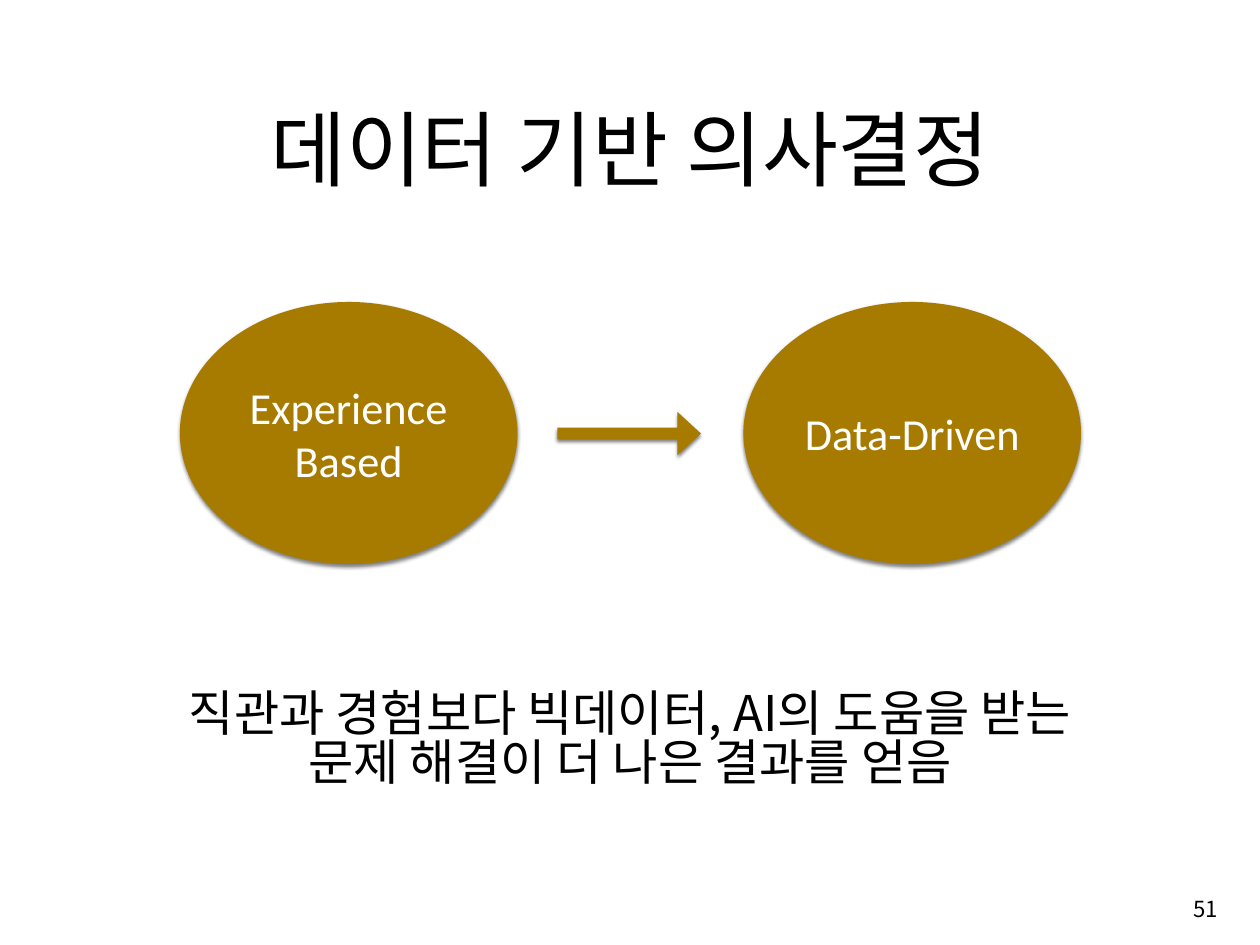
import dataclasses

import lxml.etree
import pptx
import pptx.dml.color
import pptx.enum.shapes
import pptx.enum.text
import pptx.oxml.ns
import pptx.util

Inches = pptx.util.Inches
Pt = pptx.util.Pt
SHAPE = pptx.enum.shapes.MSO_SHAPE
ALIGN = pptx.enum.text.PP_ALIGN
ANCHOR = pptx.enum.text.MSO_ANCHOR
qn = pptx.oxml.ns.qn


@dataclasses.dataclass(frozen=True)
class Theme:
    gold: str = "A77B00"
    black: str = "000000"
    white: str = "FFFFFF"
    korean: str = "Noto Sans CJK KR"
    latin: str = "Calibri"
    title: int = 67
    body: int = 40
    label: int = 36
    number: int = 18


THEME = Theme()


def rgb(value):
    return pptx.dml.color.RGBColor.from_string(value)


def place(sp, left, top, width, height):
    sp.left, sp.top = Inches(left), Inches(top)
    sp.width, sp.height = Inches(width), Inches(height)


def write(sp, text, font, size, color, anchor=ANCHOR.TOP, inset=0.06, wrap=True, spacing=None):
    """Fill a shape with centred text, one paragraph per line."""
    tf = sp.text_frame
    tf.text = text
    tf.word_wrap = wrap
    tf.auto_size = pptx.enum.text.MSO_AUTO_SIZE.NONE
    tf.vertical_anchor = anchor
    tf.margin_left = tf.margin_right = tf.margin_top = tf.margin_bottom = Inches(inset)
    for p in tf.paragraphs:
        p.alignment = ALIGN.CENTER
        p.space_before = Pt(0)
        if spacing:
            p.line_spacing = spacing
        for r in p.runs:
            r.font.name = font
            r.font.size = Pt(size)
            r.font.color.rgb = rgb(color)
            # East Asian glyphs use the same typeface
            latin = r.font._element.find(qn("a:latin"))
            ea = lxml.etree.Element(qn("a:ea"), typeface=font)
            latin.addnext(ea)


def remove_bullets(sp):
    for p in sp.text_frame.paragraphs:
        pPr = p._p.get_or_add_pPr()
        pPr.set("marL", "0")
        pPr.set("indent", "0")
        lxml.etree.SubElement(pPr, qn("a:buNone"))


def add_shadow(sp):
    """Soft half-transparent shadow straight below the shape."""
    sp.shadow.inherit = False
    effects = sp._element.spPr.find(qn("a:effectLst"))
    outer = lxml.etree.SubElement(effects, qn("a:outerShdw"), blurRad=str(Pt(3)),
                                  dist=str(Pt(2)), dir="5400000", rotWithShape="0")
    color = lxml.etree.SubElement(outer, qn("a:srgbClr"), val=THEME.black)
    lxml.etree.SubElement(color, qn("a:alpha"), val="50000")


def add_gold_shape(s, kind, left, top, width, height):
    sp = s.shapes.add_shape(kind, Inches(left), Inches(top), Inches(width), Inches(height))
    sp.fill.solid()
    sp.fill.fore_color.rgb = rgb(THEME.gold)
    sp.line.fill.background()
    add_shadow(sp)
    return sp


def add_ellipse(s, left, text):
    sp = add_gold_shape(s, SHAPE.OVAL, left, 3.41, 3.81, 2.96)
    write(sp, text, THEME.latin, THEME.label, THEME.white, ANCHOR.MIDDLE, inset=0)


def add_arrow(s):
    sp = add_gold_shape(s, SHAPE.RIGHT_ARROW, 6.29, 4.65, 1.62, 0.49)
    sp.adjustments[0] = 0.275
    sp.adjustments[1] = 0.542


def add_slide_number(s, text):
    sp = s.shapes.add_textbox(Inches(13.44), Inches(10.05), Inches(0.34), Inches(0.4))
    write(sp, text, THEME.korean, THEME.number, THEME.black, wrap=False)


def main():
    prs = pptx.Presentation()
    prs.slide_width, prs.slide_height = Inches(14.22), Inches(10.67)
    s = prs.slides.add_slide(prs.slide_layouts[1])
    s.background.fill.solid()
    s.background.fill.fore_color.rgb = rgb(THEME.white)

    # Title
    title = s.shapes.title
    place(title, 1.04, 0.49, 12.14, 2.36)
    write(title, "데이터 기반 의사결정", THEME.korean, THEME.title, THEME.black, ANCHOR.MIDDLE)

    # Conclusion
    body = s.placeholders[1]
    place(body, 1.19, 7.76, 11.84, 2.2)
    write(body, "직관과 경험보다 빅데이터, AI의 도움을 받는\n문제 해결이 더 나은 결과를 얻음",
          THEME.korean, THEME.body, THEME.black, spacing=0.83)
    remove_bullets(body)

    # Shift from experience to data
    add_ellipse(s, 2.03, "Experience\nBased")
    add_ellipse(s, 8.39, "Data-Driven")
    add_arrow(s)

    add_slide_number(s, "51")
    prs.save("out.pptx")


if __name__ == "__main__":
    main()
